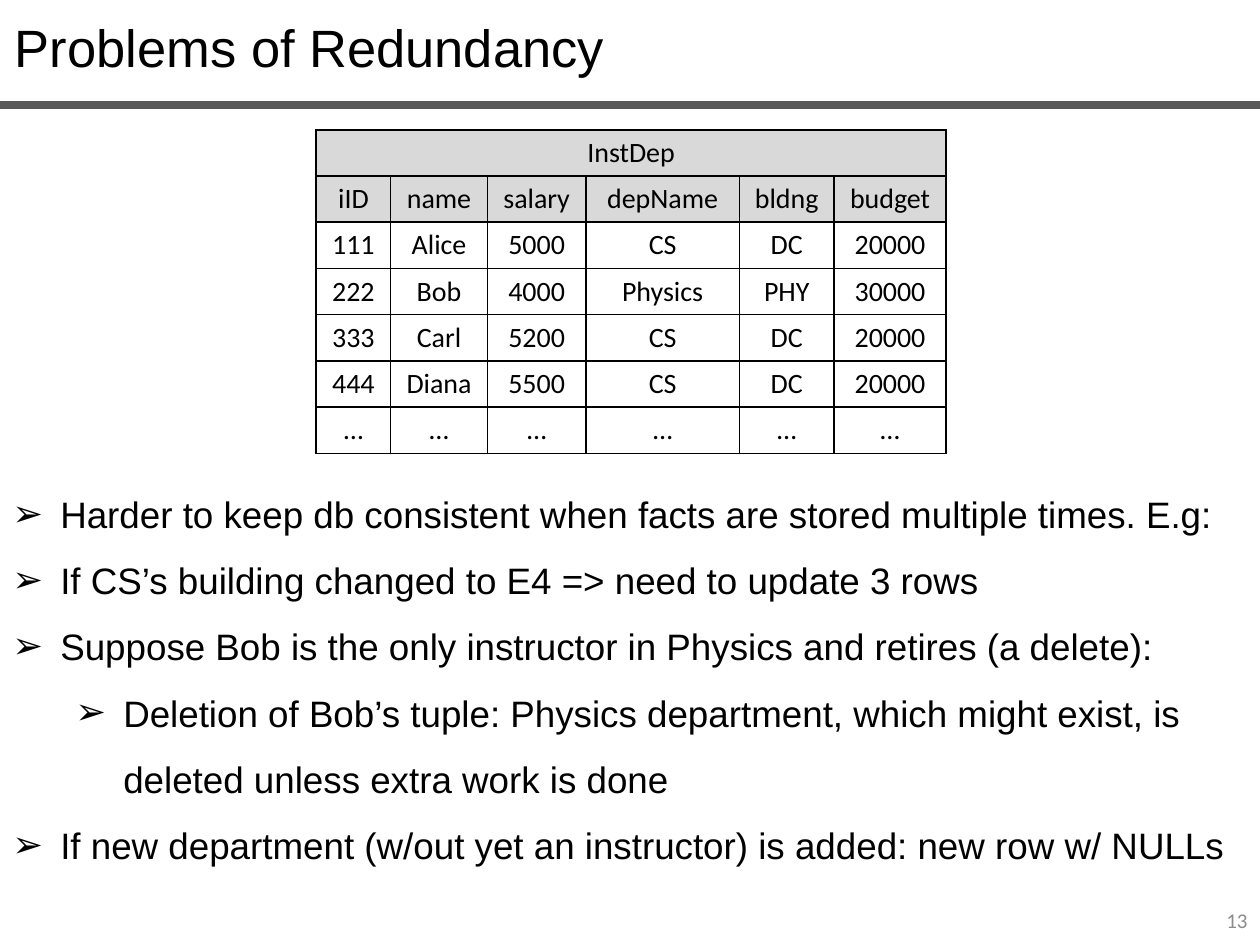
from dataclasses import dataclass

from lxml import etree
from pptx import Presentation
from pptx.dml.color import RGBColor
from pptx.enum.shapes import MSO_CONNECTOR
from pptx.enum.text import MSO_ANCHOR, PP_ALIGN
from pptx.oxml.ns import qn
from pptx.util import Inches, Pt

STRAIGHT = MSO_CONNECTOR.STRAIGHT
LEFT, CENTER, RIGHT = PP_ALIGN.LEFT, PP_ALIGN.CENTER, PP_ALIGN.RIGHT
TOP, MIDDLE = MSO_ANCHOR.TOP, MSO_ANCHOR.MIDDLE


@dataclass(frozen=True)
class Theme:
    ink: str = "000000"
    rule: str = "595959"
    muted: str = "8C8C8C"
    header: str = "D9D9D9"
    text_font: str = "Arial"
    table_font: str = "Calibri"
    title_size: float = 30
    body_size: float = 21
    table_size: float = 16
    number_size: float = 12


THEME = Theme()

COLUMN_WIDTHS = [0.59, 0.77, 0.78, 1.22, 0.75, 0.89]
TABLE_NAME = "InstDep"
TABLE_ROWS = [
    ["iID", "name", "salary", "depName", "bldng", "budget"],
    ["111", "Alice", "5000", "CS", "DC", "20000"],
    ["222", "Bob", "4000", "Physics", "PHY", "30000"],
    ["333", "Carl", "5200", "CS", "DC", "20000"],
    ["444", "Diana", "5500", "CS", "DC", "20000"],
    ["…"] * 6,
]
HEADER_ROWS = 2

BULLETS = [
    (0, "Harder to keep db consistent when facts are stored multiple times. E.g:"),
    (0, "If CS’s building changed to E4 => need to update 3 rows"),
    (0, "Suppose Bob is the only instructor in Physics and retires (a delete):"),
    (1, "Deletion of Bob’s tuple: Physics department, which might exist, is "
        "deleted unless extra work is done"),
    (0, "If new department (w/out yet an instructor) is added: new row w/ NULLs"),
]


def write(para, text, *, size, font=THEME.text_font, color=THEME.ink, align=LEFT):
    para.alignment = align
    span = para.add_run()
    span.text = text
    span.font.size = Pt(size)
    span.font.name = font
    span.font.color.rgb = RGBColor.from_string(color)


def add_text_frame(page, box, anchor=TOP):
    frame = page.shapes.add_textbox(*map(Inches, box)).text_frame
    frame.word_wrap = True
    frame.vertical_anchor = anchor
    return frame


def add_title(page, box, text):
    write(add_text_frame(page, box).paragraphs[0], text, size=THEME.title_size)


def add_rule(page, left, top, width):
    line = page.shapes.add_connector(
        STRAIGHT, Inches(left), Inches(top), Inches(left + width), Inches(top))
    line.line.color.rgb = RGBColor.from_string(THEME.rule)
    line.line.width = Pt(4.5)
    etree.SubElement(line._element.spPr, qn("a:effectLst"))


def add_page_number(page, box, number):
    write(add_text_frame(page, box, MIDDLE).paragraphs[0], number,
          size=THEME.number_size, font=THEME.table_font, color=THEME.muted, align=RIGHT)


def set_bullet(para, level):
    """Give the paragraph an arrow bullet with a hanging indent."""
    hanging = Inches(0.38)
    para.level = level
    properties = para._p.get_or_add_pPr()
    properties.set("marL", str(hanging + level * Inches(0.5)))
    properties.set("indent", str(-hanging))
    etree.SubElement(properties, qn("a:buFont"), typeface=THEME.text_font)
    etree.SubElement(properties, qn("a:buChar"), char="➢")


def add_bullets(page, box, items):
    frame = add_text_frame(page, box)
    for index, (level, text) in enumerate(items):
        para = frame.add_paragraph() if index else frame.paragraphs[0]
        para.line_spacing = 1.5
        set_bullet(para, level)
        write(para, text, size=THEME.body_size)


def set_borders(cell):
    properties = cell._tc.get_or_add_tcPr()
    for index, side in enumerate(("lnL", "lnR", "lnT", "lnB")):
        border = etree.Element(qn(f"a:{side}"), w=str(Pt(1)))
        fill = etree.SubElement(border, qn("a:solidFill"))
        etree.SubElement(fill, qn("a:srgbClr"), val=THEME.ink)
        properties.insert(index, border)


def style_cell(cell, is_header):
    cell.vertical_anchor = MIDDLE
    cell.margin_top = cell.margin_bottom = Inches(0.04)
    if is_header:
        cell.fill.solid()
        cell.fill.fore_color.rgb = RGBColor.from_string(THEME.header)
    else:
        cell.fill.background()
    set_borders(cell)


def add_instructor_table(page, box):
    rows = [[TABLE_NAME]] + TABLE_ROWS
    table = page.shapes.add_table(
        len(rows), len(COLUMN_WIDTHS), *map(Inches, box)).table
    table.first_row = table.horz_banding = False
    for column, width in zip(table.columns, COLUMN_WIDTHS):
        column.width = Inches(width)
    table.cell(0, 0).merge(table.cell(0, len(COLUMN_WIDTHS) - 1))
    for row_index, row in enumerate(rows):
        for column_index in range(len(COLUMN_WIDTHS)):
            style_cell(table.cell(row_index, column_index), row_index < HEADER_ROWS)
        for column_index, text in enumerate(row):
            write(table.cell(row_index, column_index).text_frame.paragraphs[0], text,
                  size=THEME.table_size, font=THEME.table_font, align=CENTER)


def main():
    deck = Presentation()
    deck.slide_width, deck.slide_height = Inches(10), Inches(7.5)
    page = deck.slides.add_slide(deck.slide_layouts[6])
    add_title(page, (0.02, 0.07, 9.98, 0.61), "Problems of Redundancy")
    add_rule(page, 0, 0.83, 10)
    add_page_number(page, (7.67, 7.1, 2.33, 0.4), "13")
    add_bullets(page, (0, 3.68, 10.15, 3.22), BULLETS)
    add_instructor_table(page, (2.51, 1.03, sum(COLUMN_WIDTHS), 2.57))
    deck.save("out.pptx")


if __name__ == "__main__":
    main()
